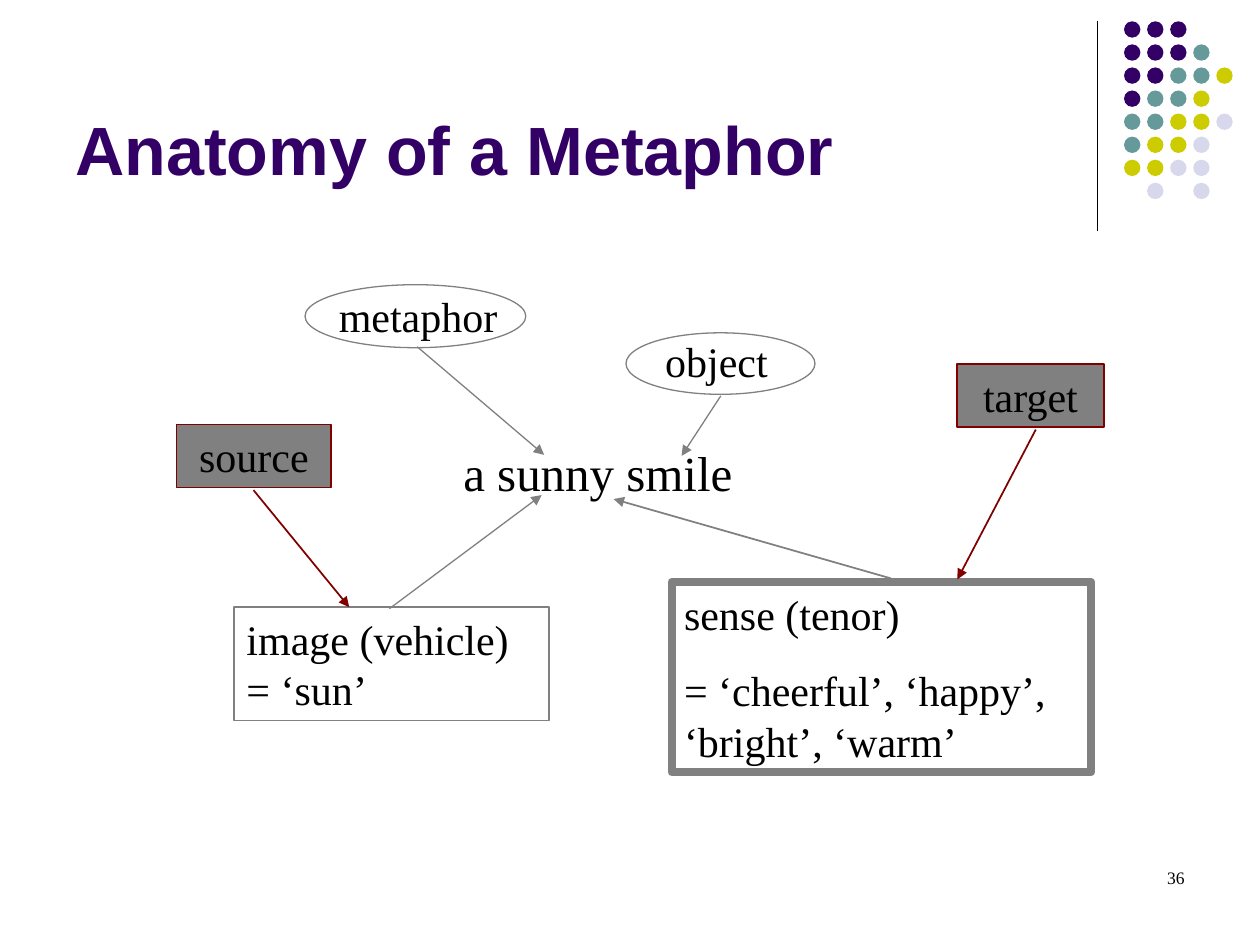
from lxml.etree import SubElement
from pptx import Presentation
from pptx.dml.color import RGBColor
from pptx.enum.shapes import MSO_CONNECTOR, MSO_SHAPE
from pptx.enum.text import MSO_ANCHOR, PP_ALIGN
from pptx.oxml.ns import qn
from pptx.util import Cm, Pt

COLORS = {
    "purple": "330066",
    "teal": "669999",
    "lime": "CCCC00",
    "lavender": "D8D8EC",
    "gray": "808080",
    "maroon": "800000",
    "black": "000000",
}
DOT_COLORS = {"P": "purple", "T": "teal", "L": "lime", "V": "lavender"}
DOT_ROWS = ["PPP", "PPPT", "PPTTL", "PTTL", "TTLLV", "TLLV", "LLVV", ".V.V"]


def color(name):
    return RGBColor.from_string(COLORS[name])


def write_text(shape, text, size=24, font="Times New Roman", ink="black", bold=False,
               align=PP_ALIGN.LEFT, anchor=MSO_ANCHOR.TOP, space_before=15):
    """Fill a shape with one paragraph per line of text."""
    frame = shape.text_frame
    frame.word_wrap = True
    frame.vertical_anchor = anchor
    for index, line in enumerate(text.split("\n")):
        paragraph = frame.add_paragraph() if index else frame.paragraphs[0]
        paragraph.alignment = align
        if index:
            paragraph.space_before = Pt(space_before)
        run = paragraph.add_run()
        run.text = line
        run.font.name = font
        run.font.size = Pt(size)
        run.font.bold = bold
        run.font.color.rgb = color(ink)


def add_text(slide, box, text, **text_format):
    shape = slide.shapes.add_textbox(*map(Cm, box))
    write_text(shape, text, **text_format)


def add_shape(slide, kind, box, fill=None, line=None, line_width=0.75):
    shape = slide.shapes.add_shape(kind, *map(Cm, box))
    shape.shadow.inherit = False
    if fill:
        shape.fill.solid()
        shape.fill.fore_color.rgb = color(fill)
    else:
        shape.fill.background()
    if line:
        shape.line.color.rgb = color(line)
        shape.line.width = Pt(line_width)
    else:
        shape.line.fill.background()
    return shape


def add_line(slide, start, end, ink="black", width=0.75, arrow=False):
    connector = slide.shapes.add_connector(MSO_CONNECTOR.STRAIGHT, *map(Cm, (*start, *end)))
    connector.line.color.rgb = color(ink)
    connector.line.width = Pt(width)
    if arrow:
        SubElement(connector.line._get_or_add_ln(), qn("a:tailEnd"), type="triangle")
    SubElement(connector._element.spPr, qn("a:effectLst"))


def add_pointer(slide, box, offset, end, ink="gray", width=0.75):
    """Draw an arrow from an offset within a box to a point on the slide."""
    start = (box[0] + offset[0], box[1] + offset[1])
    add_line(slide, start, end, ink, width, arrow=True)


def add_corner_ornament(slide, box):
    """Draw the divider at the left edge of the box and the dots beside it."""
    left, top, width, height = box
    add_line(slide, (left, top), (left, top + height))
    diameter = 0.33
    pitch = (width - 0.54 - diameter) / 4
    for row, codes in enumerate(DOT_ROWS):
        for column, code in enumerate(codes):
            if code in DOT_COLORS:
                dot = (left + 0.54 + column * pitch, top + row * pitch, diameter, diameter)
                add_shape(slide, MSO_SHAPE.OVAL, dot, fill=DOT_COLORS[code])


def add_oval_label(slide, box, text, text_offset, pointer):
    left, top, width, height = box
    add_text(slide, (left + text_offset[0], top + text_offset[1], width - 0.36, 1.27), text)
    add_shape(slide, MSO_SHAPE.OVAL, box, line="gray")
    add_pointer(slide, box, *pointer)


def add_definition(slide, box, text, pointer, line_width=0.75, pointer_width=0.75):
    shape = add_shape(slide, MSO_SHAPE.RECTANGLE, box, line="gray", line_width=line_width)
    write_text(shape, text)
    add_pointer(slide, box, *pointer, width=pointer_width)


def add_domain_tag(slide, box, text, pointer):
    shape = add_shape(slide, MSO_SHAPE.RECTANGLE, box, "gray", "maroon", 1)
    write_text(shape, text, align=PP_ALIGN.CENTER)
    add_pointer(slide, box, *pointer, ink="maroon", width=1)


def add_metaphor_diagram(slide, box):
    """Place the phrase and the parts that point to it, relative to the box."""
    left, top = box[:2]

    def area(x, y, width, height):
        return left + x, top + y, width, height

    def point(x, y):
        return left + x, top + y

    add_text(slide, area(5.53, 3.05, 6.15, 1.45), "a sunny smile", size=28)
    add_oval_label(slide, area(2.59, 0, 4.45, 1.27), "metaphor", (0.43, 0),
                   ((2.26, 1.25), point(7.41, 3.43)))
    add_oval_label(slide, area(9.06, 0.97, 3.81, 1.24), "object", (0.54, -0.08),
                   ((1.91, 1.27), point(10.18, 3.45)))
    add_definition(slide, area(1.16, 6.5, 6.35, 2.29), "image (vehicle) = ‘sun’",
                   ((3.13, 0.03), point(7.36, 4.24)))
    add_definition(slide, area(9.98, 5.99, 8.46, 3.84),
                   "sense (tenor)\n= ‘cheerful’, ‘happy’, ‘bright’, ‘warm’",
                   ((4.42, -0.07), point(8.81, 4.32)), line_width=4.5, pointer_width=1)
    add_domain_tag(slide, area(0, 2.82, 3.12, 1.27), "source",
                   ((1.55, 1.32), point(3.48, 6.5)))
    add_domain_tag(slide, area(15.74, 1.6, 2.95, 1.27), "target",
                   ((1.58, 1.32), point(15.74, 5.94)))


def main():
    presentation = Presentation()
    presentation.slide_width = Cm(25.4)
    presentation.slide_height = Cm(19.05)
    slide = presentation.slides.add_slide(presentation.slide_layouts[6])
    add_corner_ornament(slide, (22.12, 0.43, 2.73, 4.22))
    add_text(slide, (1.27, 0.33, 20.96, 3.61), "Anatomy of a Metaphor", size=39,
             font="Arial", ink="purple", bold=True, anchor=MSO_ANCHOR.BOTTOM)
    add_metaphor_diagram(slide, (3.56, 5.74, 18.69, 9.83))
    add_text(slide, (18.21, 17.35, 5.92, 1.27), "36", size=10, align=PP_ALIGN.RIGHT)
    presentation.save("out.pptx")


if __name__ == "__main__":
    main()
